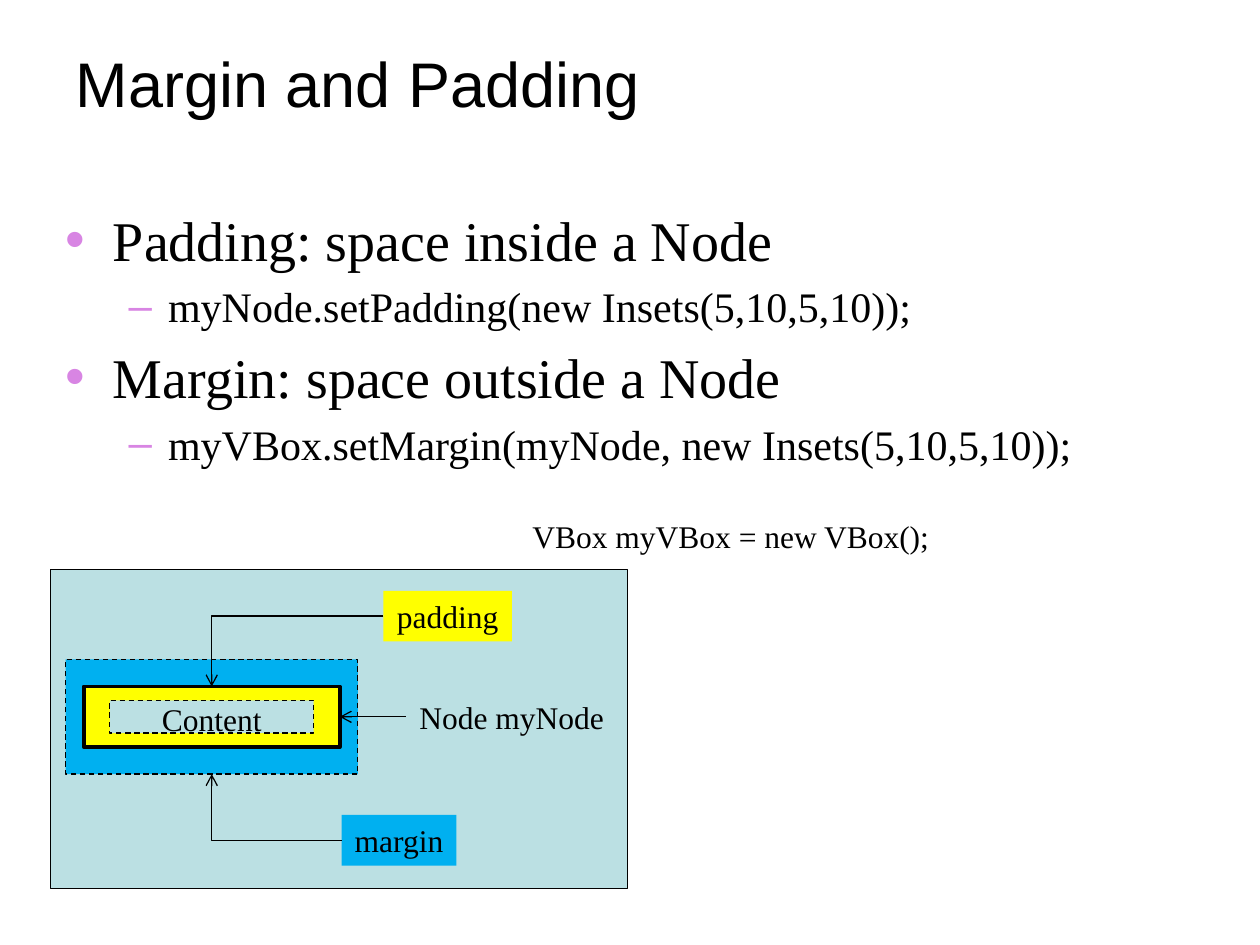
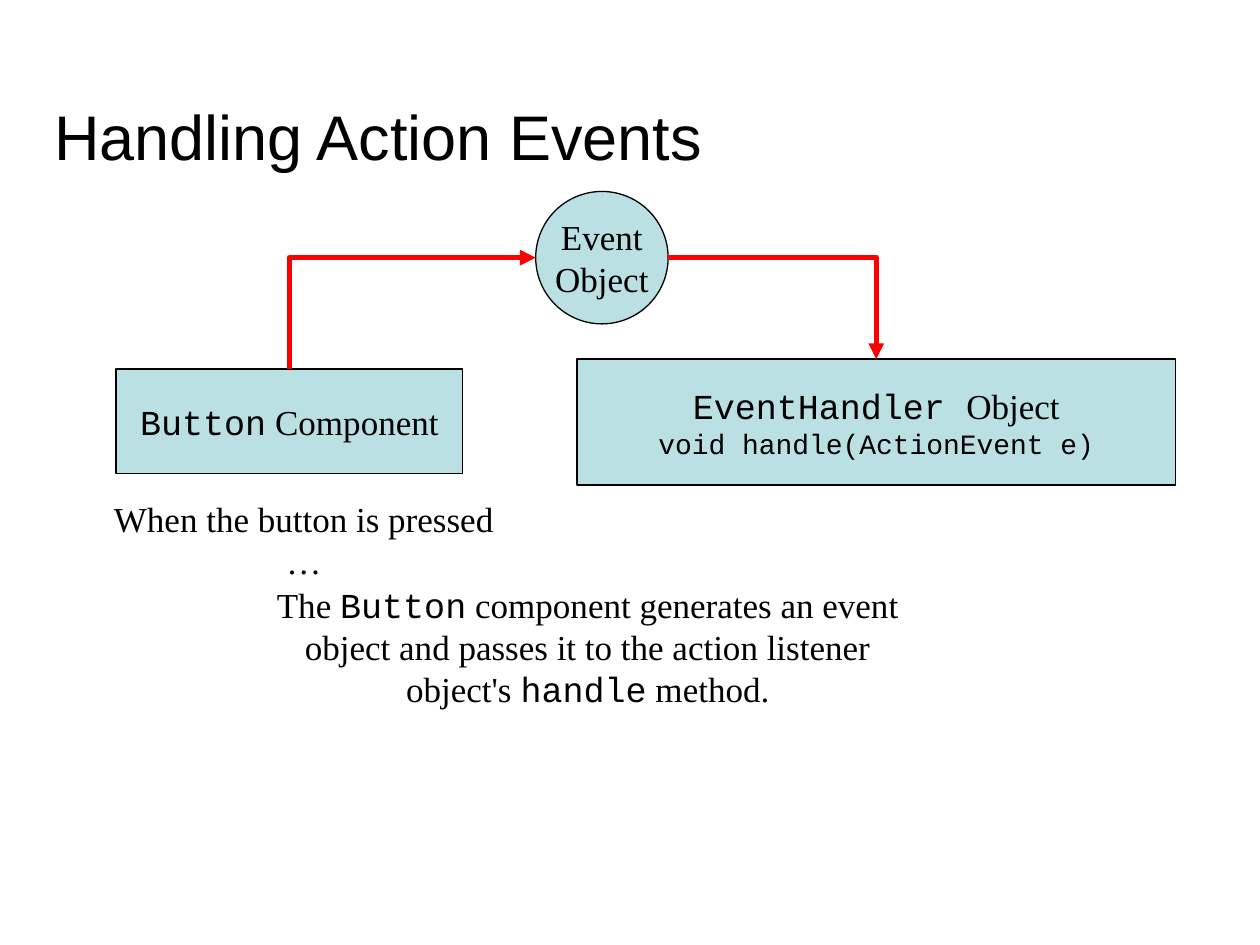
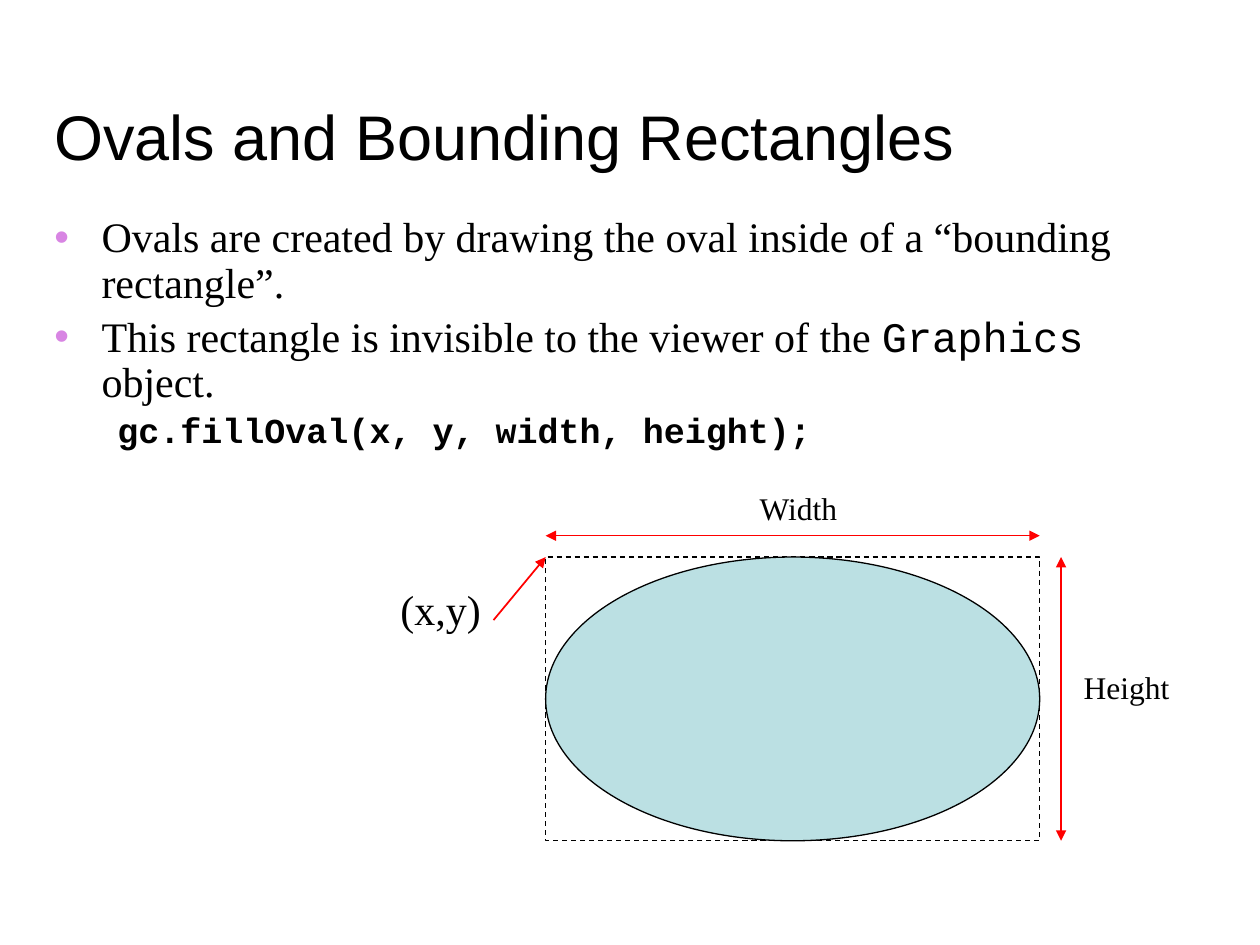
from dataclasses import dataclass

from lxml import etree
from pptx import Presentation
from pptx.dml.color import RGBColor
from pptx.enum import dml, shapes, text
from pptx.oxml import ns
from pptx.util import Cm, Pt


# Shared colours, fonts and type sizes
@dataclass(frozen=True)
class Theme:
    ink: str = "000000"
    pale: str = "BBE0E3"
    blue: str = "00B0F0"
    gold: str = "FFFF00"
    red: str = "FF0000"
    mark: str = "D885E3"
    head: str = "Arial"
    serif: str = "Times New Roman"
    mono: str = "Courier New"
    title: int = 36
    large: int = 32
    mid: int = 24
    base: int = 20
    small: int = 18
    code: int = 16


T = Theme()
KIND = shapes.MSO_SHAPE
LINK = shapes.MSO_CONNECTOR
ALIGN = text.PP_ALIGN
ANCHOR = text.MSO_ANCHOR
SIDES = ("top", "left", "bottom", "right")


def rgb(code):
    return RGBColor.from_string(code)


def child(node, tag, **attrs):
    return etree.SubElement(node, ns.qn(tag), attrs)


# Text: one paragraph, with code words between backticks
def write(frame, words, size=T.small, font=T.serif, align=ALIGN.CENTER,
          level=0, bold=None, space=None):
    para = frame.paragraphs[-1]
    if para.runs:
        para = frame.add_paragraph()
    para.alignment, para.level = align, level
    if space:
        para.line_spacing = space
    for i, part in enumerate(words.split("`")):
        if part:
            run = para.add_run()
            run.text = part
            run.font.name = T.mono if i % 2 else font
            run.font.size, run.font.bold = Pt(size), bold
            run.font.color.rgb = rgb(T.ink)
    return para


def place(shape, x, y, w, h):
    shape.left, shape.top, shape.width, shape.height = map(Cm, (x, y, w, h))


def head(slide, words, box=(0.84, 0.84, 23.93, 2.77), anchor=ANCHOR.BOTTOM):
    title = slide.shapes.title
    place(title, *box)
    frame = title.text_frame
    frame.auto_size = text.MSO_AUTO_SIZE.NONE
    frame.vertical_anchor = anchor
    write(frame, words, size=T.title, font=T.head, align=ALIGN.LEFT)


def body(slide, box, items, space=None):
    """Fill the list with (words, level, size, bullet, bold) items."""
    holder = slide.placeholders[1]
    place(holder, *box)
    frame = holder.text_frame
    frame.auto_size = text.MSO_AUTO_SIZE.NONE
    frame.margin_right = 0
    for words, level, size, mark, bold in items:
        para = write(frame, words, size=size, align=ALIGN.LEFT,
                     level=level, bold=bold, space=space)
        props = para._p.get_or_add_pPr()
        if mark:
            child(child(props, "a:buClr"), "a:srgbClr", val=T.mark)
        else:
            child(props, "a:buNone")


# Shapes, labels and lines
def block(slide, x, y, w, h, kind=KIND.RECTANGLE, fill=T.pale,
          line=0.75, dash=False):
    shape = slide.shapes.add_shape(kind, *map(Cm, (x, y, w, h)))
    shape.shadow.inherit = False
    if fill:
        shape.fill.solid()
        shape.fill.fore_color.rgb = rgb(fill)
    else:
        shape.fill.background()
    shape.line.color.rgb = rgb(T.ink)
    shape.line.width = Pt(line)
    if dash:
        shape.line.dash_style = dml.MSO_LINE.DASH
    shape.text_frame.word_wrap = False
    return shape


def label(slide, x, y, w, h, words, fill=None, wrap=False, **fmt):
    shape = slide.shapes.add_textbox(*map(Cm, (x, y, w, h)))
    if fill:
        shape.fill.solid()
        shape.fill.fore_color.rgb = rgb(fill)
    shape.text_frame.word_wrap = wrap
    write(shape.text_frame, words, **fmt)
    return shape


def arrow(slide, ends, kind=LINK.STRAIGHT, color=T.red, width=0.75,
          start=None, end="triangle"):
    wire = slide.shapes.add_connector(kind, *ends)
    wire.line.color.rgb = rgb(color)
    wire.line.width = Pt(width)
    props = wire._element.spPr
    line = props.find(ns.qn("a:ln"))
    for tag, tip in (("a:headEnd", start), ("a:tailEnd", end)):
        if tip:
            child(line, tag, type=tip)
    child(props, "a:effectLst")
    return wire


def site(shape, side):
    dx, dy = {"top": (1, 0), "left": (0, 1),
              "bottom": (1, 2), "right": (2, 1)}[side]
    return (shape.left + shape.width * dx // 2,
            shape.top + shape.height * dy // 2)


def join(slide, a, side, b, face, bent=True, **fmt):
    """Tie two shapes; a bent link leaves the first one sideways."""
    wire = arrow(slide, site(a, side) + site(b, face),
                 kind=LINK.ELBOW if bent else LINK.STRAIGHT, **fmt)
    if bent:
        wire._element.spPr.find(ns.qn("a:prstGeom")).set(
            "prst", "bentConnector2")
    ties = wire._element.nvCxnSpPr.cNvCxnSpPr
    for tag, shape, edge in (("a:stCxn", a, side), ("a:endCxn", b, face)):
        step = 1
        if (shape.shape_type == shapes.MSO_SHAPE_TYPE.AUTO_SHAPE
                and shape.auto_shape_type == KIND.OVAL):
            step = 2
        child(ties, tag, id=str(shape.shape_id),
              idx=str(SIDES.index(edge) * step))


# Regions
def nest(slide, x, y, w, h):
    """Node with its padding and margin inside a panel."""
    block(slide, x, y, w, h)
    label(slide, x + 9.42, y - 1.19, 8.59, 1.02, "VBox myVBox = new VBox();")

    # Concentric boxes
    layers = []
    for wide, high, fill, line, dash in (
            (5.89, 2.31, T.blue, 0.75, True),
            (5.16, 1.22, T.gold, 2.25, False),
            (4.11, 0.66, T.pale, 0.75, True)):
        layers.append(block(slide, x + 3.25 - wide / 2, y + 2.97 - high / 2,
                            wide, high, fill=fill, line=line, dash=dash))
    outer, node, inner = layers
    frame = inner.text_frame
    frame.margin_left = frame.margin_right = 0
    frame.margin_top = frame.margin_bottom = 0
    frame.vertical_anchor = ANCHOR.TOP
    write(frame, "Content")

    # Labels with their arrows
    for dx, dy, wide, words, fill, goal, face, bent in (
            (5.87, 4.95, 2.31, "margin", T.blue, outer, "bottom", True),
            (7.16, 2.46, 4.27, "Node myNode", None, node, "right", False),
            (6.71, 0.43, 2.59, "padding", T.gold, node, "top", True)):
        tag = label(slide, x + dx, y + dy, wide, 1.02, words, fill=fill)
        join(slide, tag, "left", goal, face, bent=bent,
             color=T.ink, end="arrow")


def flow(slide, x, y):
    """Event passing from the button to its handler."""
    button = block(slide, x, y + 3.58, 6.99, 2.11)
    write(button.text_frame, "`Button` Component", size=T.base)
    target = block(slide, x + 9.29, y + 3.38, 12.07, 2.54)
    write(target.text_frame, "`EventHandler `Object", size=T.base)
    write(target.text_frame, "`void handle(ActionEvent e)`", size=T.code)
    event = block(slide, x + 8.46, y, 2.67, 2.67, kind=KIND.OVAL)
    for word in ("Event", "Object"):
        write(event.text_frame, word, size=T.base)

    join(slide, event, "left", button, "top", width=3,
         start="triangle", end=None)
    join(slide, event, "right", target, "top", width=3)

    # Captions
    label(slide, x - 0.66, y + 6.05, 8.89, 1.09,
          "When the button is pressed …", size=T.base, wrap=True)
    label(slide, x + 2.74, y + 7.77, 13.54, 2.79,
          "The `Button` component generates an event object and passes it "
          "to the action listener object's `handle` method.",
          size=T.base, wrap=True)


def oval(slide, x, y, w, h, gap=0.43):
    """Oval in its bounding box, with measures."""
    block(slide, x, y, w, h, fill=None, dash=True)
    block(slide, x, y, w, h, kind=KIND.OVAL)
    label(slide, x - 3.18, y + 0.41, 2.13, 1.27, "(x,y)", size=T.mid)
    label(slide, x + 4.04, y - 1.5, 2.11, 1.02, "Width")
    label(slide, x + w + 0.63, y + 2.11, 2.24, 1.02, "Height")
    for ends, width, start in (
            ((x - 1.05, y + 1.27, x, y), 1, None),
            ((x, y - gap, x + w, y - gap), 0.75, "triangle"),
            ((x + w + gap, y + h, x + w + gap, y), 0.75, "triangle")):
        arrow(slide, tuple(map(Cm, ends)), width=width, start=start)


# Slides
def space_slide(deck):
    slide = deck.slides.add_slide(deck.slide_layouts[1])
    head(slide, "Margin and Padding", (1.27, 0.76, 22.86, 2.62), ANCHOR.TOP)
    body(slide, (1.07, 4.01, 22.43, 6.15), (
        ("Padding: space inside a Node", 0, T.large, True, None),
        ("myNode.setPadding(new Insets(5,10,5,10));", 1, T.mid, True, None),
        ("Margin: space outside a Node", 0, T.large, True, None),
        ("myVBox.setMargin(myNode, new Insets(5,10,5,10));",
         1, T.mid, True, None)))
    nest(slide, 1.02, 11.48, 11.63, 6.43)


def event_slide(deck):
    slide = deck.slides.add_slide(deck.slide_layouts[5])
    head(slide, "Handling Action Events")
    flow(slide, 2.34, 3.86)


def oval_slide(deck):
    slide = deck.slides.add_slide(deck.slide_layouts[1])
    head(slide, "Ovals and Bounding Rectangles")
    body(slide, (0.84, 4.24, 23.04, 5.54), (
        ("Ovals are created by drawing the oval inside of a "
         "“bounding rectangle”.", 0, T.mid, True, None),
        ("This rectangle is invisible to the viewer of the "
         "`Graphics` object.", 0, T.mid, True, None),
        ("`gc.fillOval(x, y, width, height);`", 1, T.base, False, True)),
        space=0.9)
    oval(slide, 11, 11.23, 9.96, 5.72)


def main():
    deck = Presentation()
    deck.slide_width, deck.slide_height = Cm(25.4), Cm(19.05)
    for build in (space_slide, event_slide, oval_slide):
        build(deck)
    deck.save("out.pptx")


if __name__ == "__main__":
    main()
